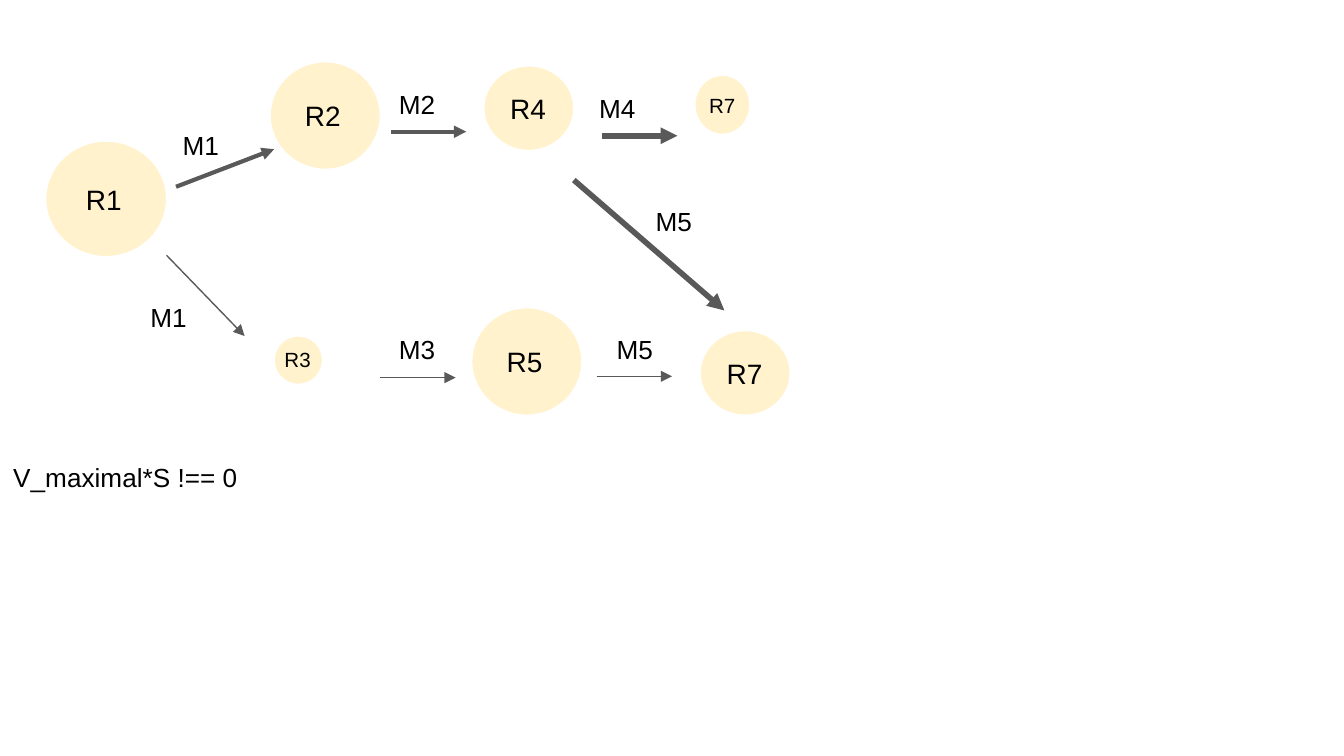
import pptx
import pptx.util
import pptx.dml.color
import pptx.enum.shapes
import pptx.enum.text
import pptx.oxml.ns
import lxml.etree

Inches = pptx.util.Inches
Pt = pptx.util.Pt
ALIGN = pptx.enum.text.PP_ALIGN

COLORS = {"node": "FFF2CC", "outline": "FFFFFF", "arrow": "595959", "text": "000000"}
FONT = "Arial"


class Diagram:
    def __init__(self, page):
        self.page = page

    def color(self, name):
        return pptx.dml.color.RGBColor.from_string(COLORS[name])

    def style(self, span, size):
        span.font.name = FONT
        span.font.size = Pt(size)
        span.font.color.rgb = self.color("text")

    def set_margins(self, frame):
        frame.margin_left = frame.margin_right = Inches(0.1)
        frame.margin_top = frame.margin_bottom = Inches(0.1)
        frame.word_wrap = True

    def node(self, left, top, width, height, name="", align=ALIGN.CENTER):
        circle = self.page.shapes.add_shape(
            pptx.enum.shapes.MSO_SHAPE.OVAL,
            Inches(left), Inches(top), Inches(width), Inches(height))
        circle.shadow.inherit = False
        circle.fill.solid()
        circle.fill.fore_color.rgb = self.color("node")
        circle.line.color.rgb = self.color("outline")
        circle.line.width = Pt(0.75)
        if not name:
            return
        frame = circle.text_frame
        self.set_margins(frame)
        frame.vertical_anchor = pptx.enum.text.MSO_ANCHOR.MIDDLE
        frame.text = name
        para = frame.paragraphs[0]
        para.alignment = align
        self.style(para.runs[0], 15)
        space = para.add_run()
        space.text = " "
        self.style(space, 9)

    def label(self, left, top, text, width=0.48, height=0.44, size=14, align=ALIGN.LEFT):
        box = self.page.shapes.add_textbox(
            Inches(left), Inches(top), Inches(width), Inches(height))
        frame = box.text_frame
        self.set_margins(frame)
        frame.text = text
        para = frame.paragraphs[0]
        para.alignment = align
        self.style(para.runs[0], size)

    def arrow(self, x1, y1, x2, y2, weight):
        line = self.page.shapes.add_connector(
            pptx.enum.shapes.MSO_CONNECTOR.STRAIGHT,
            Inches(x1), Inches(y1), Inches(x2), Inches(y2))
        line.line.color.rgb = self.color("arrow")
        line.line.width = Pt(weight)
        qn = pptx.oxml.ns.qn
        outline = line._element.spPr.find(qn("a:ln"))
        lxml.etree.SubElement(outline, qn("a:tailEnd"), type="triangle")
        lxml.etree.SubElement(line._element.spPr, qn("a:effectLst"))


def main():
    deck = pptx.Presentation()
    deck.slide_width = Inches(10)
    deck.slide_height = Inches(10) * 9 // 16
    diagram = Diagram(deck.slides.add_slide(deck.slide_layouts[6]))

    nodes = [
        (0.34, 1.05, 0.9, 0.86, "R1"),
        (2.01, 0.46, 0.82, 0.8, "R2"),
        (2.04, 2.5, 0.36, 0.36),
        (3.6, 0.49, 0.67, 0.63, "R4", ALIGN.LEFT),
        (3.51, 2.29, 0.82, 0.8, "R5"),
        (5.17, 0.56, 0.41, 0.44),
        (5.21, 2.46, 0.67, 0.63, "R7", ALIGN.LEFT),
    ]
    for node in nodes:
        diagram.node(*node)

    arrows = [
        (1.31, 1.39, 2.04, 1.11, 2.25),
        (1.24, 1.9, 1.82, 2.5, 0.75),
        (2.91, 0.98, 3.47, 0.98, 2.25),
        (2.83, 2.81, 3.39, 2.81, 0.75),
        (4.48, 1.01, 5.04, 1.01, 3),
        (4.27, 1.34, 5.39, 2.31, 3),
        (4.44, 2.8, 5, 2.8, 0.75),
    ]
    for arrow in arrows:
        diagram.arrow(*arrow)

    arrow_labels = [
        (1.26, 0.86, "M1"),
        (1.02, 2.14, "M1"),
        (2.87, 0.56, "M2"),
        (2.87, 2.38, "M3"),
        (4.36, 0.59, "M4"),
        (4.78, 1.43, "M5"),
        (4.49, 2.38, "M5"),
    ]
    for label in arrow_labels:
        diagram.label(*label)

    for left, top, name in [(1.95, 2.49, "R3"), (5.11, 0.6, "R7")]:
        diagram.label(left, top, name, 0.53, 0.39, 11, ALIGN.CENTER)

    diagram.label(0, 3.33, "V_maximal*S !== 0", width=3.28)
    deck.save("out.pptx")


if __name__ == "__main__":
    main()
